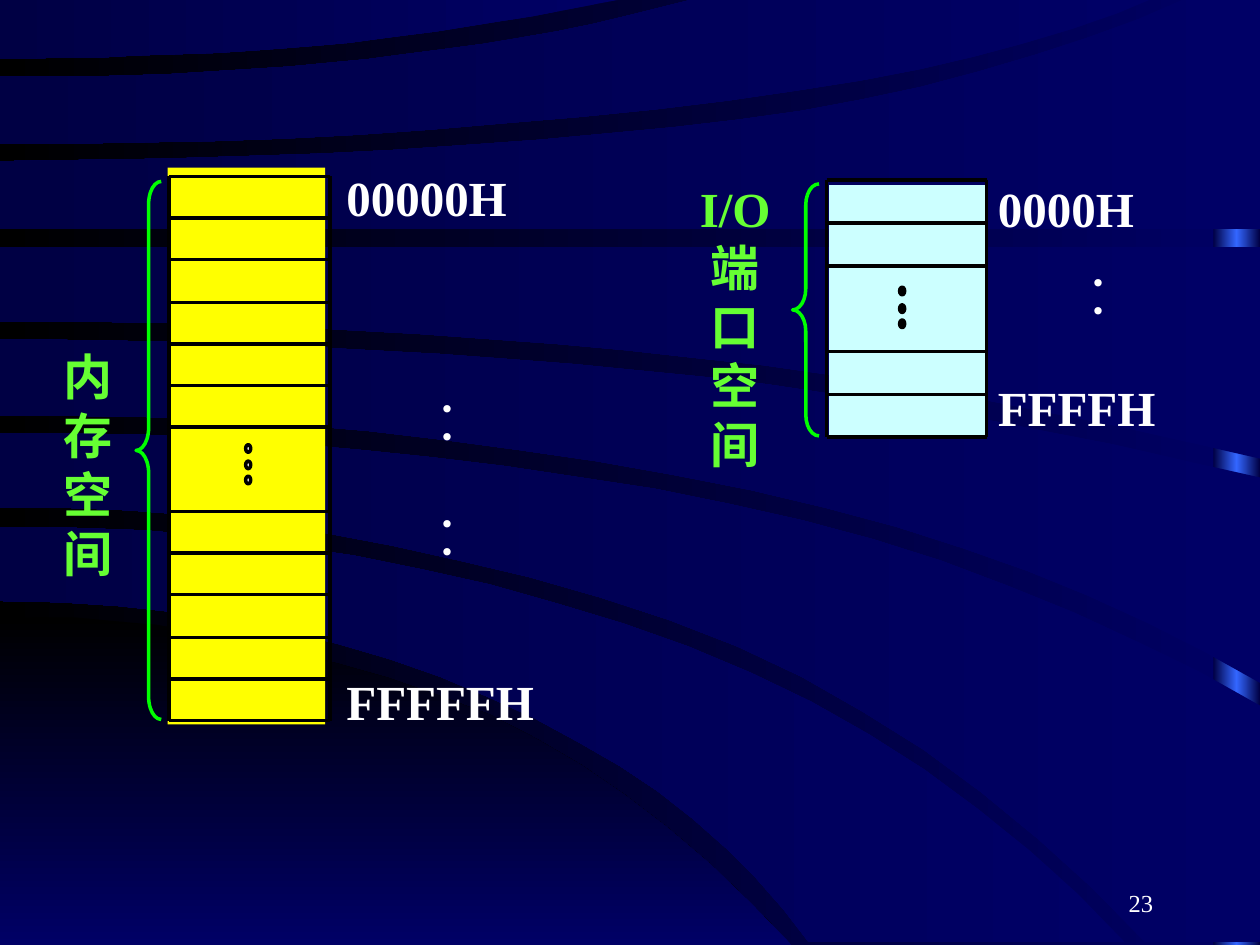
from copy import deepcopy

from lxml import etree
from pptx import Presentation
from pptx.dml.color import RGBColor
from pptx.enum.shapes import MSO_CONNECTOR, MSO_SHAPE
from pptx.enum.text import MSO_ANCHOR, PP_ALIGN
from pptx.oxml.ns import qn
from pptx.util import Pt

PX = 9144  # EMU per px, 100 px to the inch
FONT = "Times New Roman"
STEPS = 6  # straight pieces between two knots of a curve

NAVY = RGBColor(0x00, 0x00, 0x66)
DARK_NAVY = RGBColor(0x00, 0x00, 0x44)
BLUE = RGBColor(0x33, 0x66, 0xFF)
BLACK = RGBColor(0x00, 0x00, 0x00)
WHITE = RGBColor(0xFF, 0xFF, 0xFF)
YELLOW = RGBColor(0xFF, 0xFF, 0x00)
PALE_CYAN = RGBColor(0xCC, 0xFF, 0xFF)
LIME = RGBColor(0x66, 0xFF, 0x33)
GREEN = RGBColor(0x00, 0xFF, 0x00)

RECT, OVAL, BRACE = MSO_SHAPE.RECTANGLE, MSO_SHAPE.OVAL, MSO_SHAPE.LEFT_BRACE
STRAIGHT = MSO_CONNECTOR.STRAIGHT
JUSTIFY, CENTER, RIGHT = PP_ALIGN.JUSTIFY, PP_ALIGN.CENTER, PP_ALIGN.RIGHT
TOP, BOTTOM = MSO_ANCHOR.TOP, MSO_ANCHOR.BOTTOM

# Background sweeps: each is a chain of edges, each edge the knots of a curve
DARK_CORNER = [[(-1, 491), (193, 509), (425, 586), (628, 750)], [(-1, 750)]]
SWEEPS = [
    [[(0, 418), (335, 452), (644, 557), (893, 748)],
     [(642, 748), (492, 608), (268, 511), (0, 477)]],
    [[(0, 344), (343, 363), (693, 428), (1000, 560)],
     [(1000, 748), (909, 748)],
     [(909, 748), (636, 537), (311, 433), (0, 403)]],
    [[(0, 269), (349, 281), (662, 313), (1000, 379)],
     [(1000, 542), (711, 418), (351, 349), (0, 330)]],
    [[(0, 196), (1000, 196)],
     [(1000, 364), (662, 298), (332, 265), (0, 255)]],
    [[(0, 128), (372, 115), (684, 79), (943, -2)],
     [(1000, -2), (1000, 182)], [(0, 182)]],
    [[(0, 114), (341, 103), (683, 64), (917, -2)],
     [(556, -2), (383, 35), (197, 55), (0, 61)]],
    [[(0, 47), (202, 40), (346, 25), (501, -2)], [(0, -2)]],
]


def curve(knots):
    """Points of a Catmull-Rom curve through the knots."""
    if len(knots) < 3:
        return knots

    def beyond(a, b, c):
        return tuple(3 * p - 3 * q + r for p, q, r in zip(a, b, c))

    guides = [beyond(*knots[:3]), *knots, beyond(*knots[:-4:-1])]
    points = [knots[0]]
    for around in zip(guides, guides[1:], guides[2:], guides[3:]):
        for step in range(1, STEPS + 1):
            t = step / STEPS
            points.append(tuple(
                round(b + t * (c - a + t * (2 * a - 5 * b + 4 * c - d
                                            + t * (3 * b - a - 3 * c + d))) / 2)
                for a, b, c, d in zip(*around)))
    return points


class Board:
    """The current slide with the style of its elements."""

    def __init__(self, slide):
        self.slide = slide
        self.shapes = slide.shapes

    def gradient(self, fill, owner, colors, angle):
        fill.gradient()
        fill.gradient_angle = angle
        stop_list = next(owner.iter(qn("a:gsLst")))
        while len(stop_list) < len(colors):
            stop_list.append(deepcopy(stop_list[0]))
        for i, (stop, color) in enumerate(zip(fill.gradient_stops, colors)):
            stop.color.rgb = color
            stop.position = i / (len(colors) - 1)

    def shape(self, kind, x, y, w, h, fill=None, line=None):
        shape = self.shapes.add_shape(kind, x * PX, y * PX, w * PX, h * PX)
        shape.shadow.inherit = False
        if fill is None:
            shape.fill.background()
        else:
            shape.fill.solid()
            shape.fill.fore_color.rgb = fill
        if line is None:
            shape.line.fill.background()
        else:
            shape.line.color.rgb = line
            shape.line.width = Pt(2)
        return shape

    def sweep(self, edges, colors=(NAVY, DARK_NAVY), angle=180):
        points = [point for edge in edges for point in curve(edge)]
        builder = self.shapes.build_freeform(*points[0], scale=PX)
        builder.add_line_segments(points[1:], close=True)
        area = builder.convert_to_shape()
        area.shadow.inherit = False
        area.line.fill.background()
        self.gradient(area.fill, area._element, colors, angle)

    def line(self, x1, y1, x2, y2):
        line = self.shapes.add_connector(STRAIGHT, x1 * PX, y1 * PX, x2 * PX, y2 * PX)
        line.line.color.rgb = BLACK
        line.line.width = Pt(2)
        etree.SubElement(line._element.spPr, qn("a:effectLst"))

    def brace(self, x, y, w, h, bend):
        self.shape(BRACE, x, y, w, h, line=GREEN).adjustments[0] = bend

    def text(self, text, x, y, w, h, *, size=28, color=WHITE, bold=True,
             align=JUSTIFY, anchor=TOP, inset=(0, 0)):
        frame = self.shapes.add_textbox(x * PX, y * PX, w * PX, h * PX).text_frame
        frame.word_wrap = True
        frame.vertical_anchor = anchor
        frame.margin_left = frame.margin_right = inset[0] * PX
        frame.margin_top = frame.margin_bottom = inset[1] * PX
        frame.text = text
        for paragraph in frame.paragraphs:
            paragraph.alignment = align
            font = paragraph.font
            font.name, font.size, font.bold = FONT, Pt(size), bold
            font.color.rgb = color

    def cells(self, left, right, top, bottom, rows, gap, dot_tops, dot_x, dot_fill):
        """Ruled column of cells; the rule at index gap gives way to dots."""
        for x in (left, right):
            self.line(x, top, x, bottom)
        for i in range(rows + 1):
            if i != gap:
                y = round(top + (bottom - top) * i / rows)
                self.line(left, y, right, y)
        for y in dot_tops:
            self.shape(OVAL, dot_x, y, 4, 6, dot_fill, BLACK)


def main():
    deck = Presentation()
    deck.slide_width, deck.slide_height = 1000 * PX, 750 * PX
    slide = deck.slides.add_slide(deck.slide_layouts[6])
    board = Board(slide)

    # Background
    board.gradient(slide.background.fill, slide._element, (NAVY, BLACK), 180)
    strip = board.shape(RECT, 963, 0, 37, 750)
    board.gradient(strip.fill, strip._element, (DARK_NAVY, BLUE, DARK_NAVY), 180)
    board.sweep(DARK_CORNER, (BLACK, NAVY), 270)
    for edges in SWEEPS:
        board.sweep(edges)

    # Memory space
    board.shape(RECT, 133, 133, 125, 442, YELLOW)
    board.text("内\n存\n空\n间", 50, 275, 42, 208, color=LIME)
    board.cells(134, 262, 140, 572, 13, 7, (353, 366, 378), 195, WHITE)
    board.brace(108, 144, 20, 427, 0.9)
    board.text("00000H", 275, 133, 150, 47)
    board.text("FFFFFH", 275, 533, 150, 47)

    # I/O port space
    board.shape(RECT, 658, 147, 125, 200, PALE_CYAN)
    board.text("I/O端口\n空\n间", 550, 142, 67, 233, color=LIME, align=CENTER)
    board.cells(656, 783, 143, 347, 6, 3, (228, 242, 254), 714, BLACK)
    board.brace(629, 146, 21, 200, 0.8)
    board.text("0000H", 792, 142, 125, 47)
    board.text("FFFFH", 792, 300, 150, 47)

    # Ellipses between the first and last addresses
    for x, y in ((333, 308), (333, 400), (850, 208)):
        board.text("︰", x, y, 33, 53, size=32, bold=False)

    # Slide number
    board.text("23", 717, 683, 208, 50, size=14, bold=False,
               align=RIGHT, anchor=BOTTOM, inset=(10, 5))

    deck.save("out.pptx")


if __name__ == "__main__":
    main()
